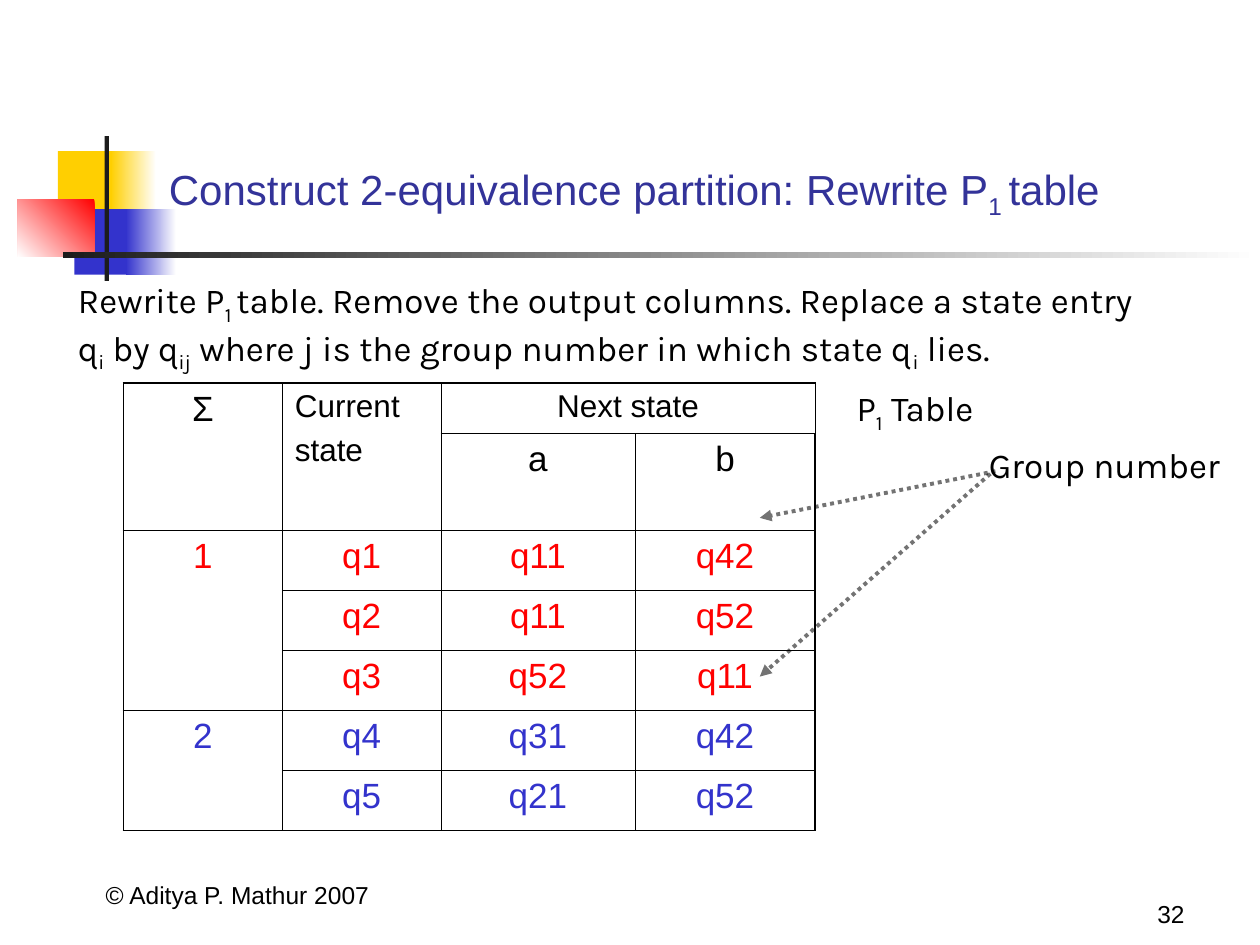
from dataclasses import dataclass
from itertools import product
from typing import Any

from lxml import etree
from pptx import Presentation
from pptx import util as u
from pptx.dml.color import RGBColor
from pptx.enum import dml, shapes, text
from pptx.oxml import ns

INK = {
    "black": "000000", "white": "FFFFFF", "dark": "1C1C1C", "title": "333399",
    "gold": "FFCF01", "blue": "3333CC", "red": "FF0000",
}
FONT = {"main": "Arial", "note": "Karla"}
LEFT, MID, RIGHT = text.PP_ALIGN.LEFT, text.PP_ALIGN.CENTER, text.PP_ALIGN.RIGHT
TOP, LOW = text.MSO_ANCHOR.TOP, text.MSO_ANCHOR.BOTTOM
COLS, ROWS = 100, 75


def rgb(name):
    return RGBColor.from_string(INK[name])


def node(base, tag, **attrs):
    return etree.SubElement(base, ns.qn(tag), attrs)


@dataclass
class Deck:
    slide: Any
    wide: int
    high: int

    def x(self, cols):
        return u.Emu(round(self.wide * cols / COLS))

    def y(self, rows):
        return u.Emu(round(self.high * rows / ROWS))

    def box(self, left, top, width, height):
        return self.x(left), self.y(top), self.x(width), self.y(height)

    def words(self, para, line, size, ink="black", font="main", align=LEFT):
        para.alignment = align
        para.font.size = u.Pt(size)
        para.font.name = FONT[font]
        para.font.color.rgb = rgb(ink)
        for i, part in enumerate(line.split("|")):
            run = para.add_run()
            run.text = part
            if i % 2:
                run._r.get_or_add_rPr().set("baseline", "-25000")

    def title(self, place, line, size, ink):
        head = self.slide.shapes.title
        head.left, head.top, head.width, head.height = self.box(*place)
        frame = head.text_frame
        frame.auto_size = text.MSO_AUTO_SIZE.NONE
        frame.vertical_anchor = LOW
        self.words(frame.paragraphs[0], line, size, ink)

    def label(self, place, line, size, anchor=TOP, wrap=True, **style):
        frame = self.slide.shapes.add_textbox(*self.box(*place)).text_frame
        frame.word_wrap = wrap
        frame.vertical_anchor = anchor
        self.words(frame.paragraphs[0], line, size, **style)

    def block(self, place, ink, fade=None, angle=180):
        rect = self.slide.shapes.add_shape(
            shapes.MSO_SHAPE.RECTANGLE, *self.box(*place))
        rect.shadow.inherit = False
        rect.line.fill.background()
        if fade:
            rect.fill.gradient()
            rect.fill.gradient_angle = angle
            for stop, name in zip(rect.fill.gradient_stops, (ink, fade)):
                stop.color.rgb = rgb(name)
        else:
            rect.fill.solid()
            rect.fill.fore_color.rgb = rgb(ink)

    def arrow(self, start, end):
        link = self.slide.shapes.add_connector(
            shapes.MSO_CONNECTOR.STRAIGHT, self.x(start[0]), self.y(start[1]),
            self.x(end[0]), self.y(end[1]))
        link.line.width = u.Pt(2.25)
        link.line.color.rgb = rgb("black")
        link.line.dash_style = dml.MSO_LINE.ROUND_DOT
        props = link._element.spPr
        line = props.find(ns.qn("a:ln"))
        node(line.find(".//" + ns.qn("a:srgbClr")), "a:alpha", val="54000")
        node(line, "a:tailEnd", type="triangle")
        node(props, "a:effectLst")

    def edge(self, cell, outer):
        props = cell._tc.get_or_add_tcPr()
        for side, bold in zip("LRTB", outer):
            line = node(props, "a:ln" + side, w=str(u.Pt(1.08 if bold else 0.45)))
            node(node(line, "a:solidFill"), "a:srgbClr", val=INK["black"])
        cell.fill.background()

    def table(self, left, top, cols, rows, spans, cells):
        grid = self.slide.shapes.add_table(
            len(rows), len(cols), *self.box(left, top, sum(cols), sum(rows))).table
        grid.first_row = grid.horz_banding = False
        for col, size in zip(grid.columns, cols):
            col.width = self.x(size)
        for row, size in zip(grid.rows, rows):
            row.height = self.y(size)
        for first, last in spans:
            grid.cell(*first).merge(grid.cell(*last))
        for r, c in product(range(len(rows)), range(len(cols))):
            self.edge(grid.cell(r, c),
                      (c == 0, c == len(cols) - 1, r == 0, r == len(rows) - 1))
        for (r, c), (lines, size, ink, align) in cells.items():
            frame = grid.cell(r, c).text_frame
            for i, line in enumerate(lines.split("\n")):
                para = frame.add_paragraph() if i else frame.paragraphs[0]
                if i:
                    para.space_before = u.Pt(4.5)
                self.words(para, line, size, ink, align=align)


def main():
    show = Presentation()
    show.slide_width, show.slide_height = u.Inches(10), u.Inches(7.5)
    deck = Deck(show.slides.add_slide(show.slide_layouts[5]),
                show.slide_width, show.slide_height)

    deck.block((4.6, 12, 4.8, 5.2), "gold")
    deck.block((8.8, 12, 3.6, 5.2), "white", "gold")
    deck.block((5.9, 16.6, 4.6, 5.2), "blue")
    deck.block((10, 16.6, 4, 5.2), "white", "blue")
    deck.block((1.4, 15.8, 6.1, 4.6), "red", "white", 225)
    deck.block((8.3, 10.8, 0.35, 11.5), "dark")
    deck.block((5, 20, 95, 0.5), "white", "dark")

    deck.label((3, 67.7, 31.7, 5), "© Aditya P. Mathur 2007", 14, LOW, align=MID)
    deck.label((74.2, 69.2, 20.8, 5), "32", 14, LOW, align=RIGHT)
    deck.title((12.4, 10.9, 85.2, 7.1),
               "Construct 2-equivalence partition: Rewrite P|1 |table", 24, "title")
    deck.label((5.2, 21.6, 88.3, 8.6),
               "Rewrite P|1 |table. Remove the output columns. Replace a state entry "
               "q|i| by q|ij| where j is the group number in which state q|i| lies.",
               20, font="note")

    cells = {
        (0, 0): ("Σ", 20, "black", MID),
        (0, 1): ("Current\nstate", 18, "black", LEFT),
        (0, 2): ("Next state", 18, "black", MID),
        (1, 2): ("a", 20, "black", MID),
        (1, 3): ("b", 20, "black", MID),
        (2, 0): ("1", 20, "red", MID),
        (5, 0): ("2", 20, "blue", MID),
    }
    states = ("q1 q11 q42", "q2 q11 q52", "q3 q52 q11", "q4 q31 q42", "q5 q21 q52")
    for r, state in enumerate(states, 2):
        for c, word in enumerate(state.split(), 1):
            cells[r, c] = (word, 20, "red" if r < 5 else "blue", MID)
    spans = [((0, 0), (1, 0)), ((0, 1), (1, 1)), ((0, 2), (0, 3)),
             ((2, 0), (4, 0)), ((5, 0), (6, 0))]
    deck.table(9.8, 30.4, (12.6, 12.6, 15.4, 14.3), (4, 7.7) + (4.76,) * 5,
               spans, cells)

    deck.label((77.5, 34.7, 21.5, 4.4), "Group number", 20, wrap=False, font="note")
    deck.arrow((79, 37.4), (60.3, 41.1))
    deck.arrow((78.6, 37.6), (60.3, 53.7))
    deck.label((67, 30.2, 18.1, 4.8), "P|1| Table", 20, font="note")
    show.save("out.pptx")


if __name__ == "__main__":
    main()
